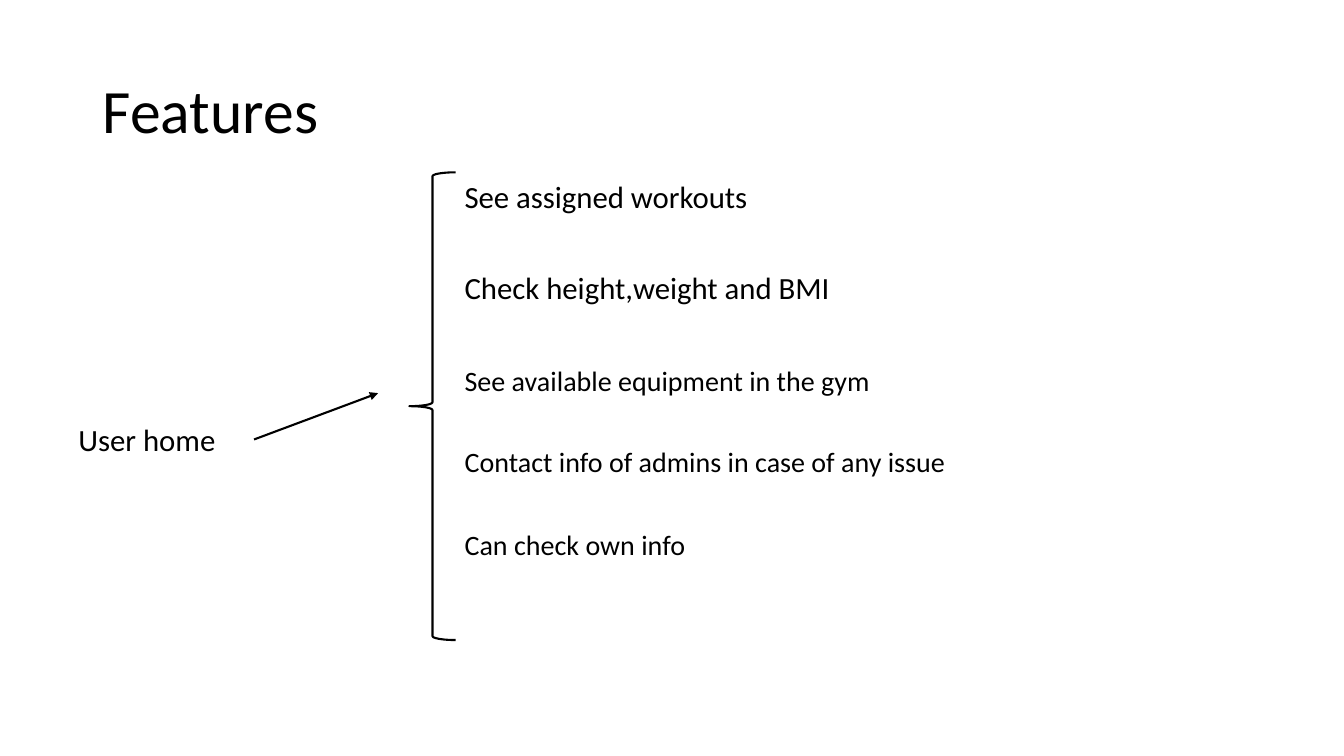
"""Build the Features slide: what a user can do from the home screen."""
from lxml import etree
from pptx import Presentation
from pptx.dml.color import RGBColor
from pptx.enum.shapes import MSO_CONNECTOR, MSO_SHAPE
from pptx.enum.text import MSO_ANCHOR, MSO_AUTO_SIZE, PP_ALIGN
from pptx.oxml.ns import qn
from pptx.util import Inches, Pt

STRAIGHT = MSO_CONNECTOR.STRAIGHT
LEFT_BRACE = MSO_SHAPE.LEFT_BRACE
MIDDLE = MSO_ANCHOR.MIDDLE
FIT_TEXT = MSO_AUTO_SIZE.SHAPE_TO_FIT_TEXT
LEFT = PP_ALIGN.LEFT

COLORS = {"ink": "000000", "background": "FFFFFF"}
INK = RGBColor.from_string(COLORS["ink"])
FONT = "Calibri"
LINE_WIDTH = Pt(1.5)
FEATURE_LEFT = 4.51


def add_text(paragraph, text, size):
    paragraph.alignment = LEFT
    run = paragraph.add_run()
    run.text = text
    run.font.name = FONT
    run.font.size = Pt(size)
    run.font.color.rgb = INK


prs = Presentation()
prs.slide_width = Inches(13.33)
prs.slide_height = Inches(7.5)
slide = prs.slides.add_slide(prs.slide_layouts[5])
slide.background.fill.solid()
slide.background.fill.fore_color.rgb = RGBColor.from_string(COLORS["background"])

title = slide.shapes.title
title.left, title.top = Inches(0.92), Inches(0.4)
title.width, title.height = Inches(11.5), Inches(1.45)
title.text_frame.vertical_anchor = MIDDLE
heading = title.text_frame.paragraphs[0]
heading.line_spacing = 0.9
add_text(heading, "Features", 44)

labels = [
    ("User home", 0.68, 4.12, 1.84, 0.47, 22),
    ("See assigned workouts", FEATURE_LEFT, 1.71, 3.1, 0.47, 22),
    ("Check height,weight and BMI", FEATURE_LEFT, 2.62, 4, 0.47, 22),
    ("See available equipment in the gym", FEATURE_LEFT, 3.56, 4.89, 0.44, 20),
    ("Contact info of admins in case of any issue", FEATURE_LEFT, 4.36, 5.45, 0.44, 20),
    ("Can check own info", FEATURE_LEFT, 5.18, 5.45, 0.44, 20),
]
for text, left, top, width, height, size in labels:
    label = slide.shapes.add_textbox(Inches(left), Inches(top), Inches(width), Inches(height))
    label.text_frame.word_wrap = True
    label.text_frame.auto_size = FIT_TEXT
    add_text(label.text_frame.paragraphs[0], text, size)

brace = slide.shapes.add_shape(LEFT_BRACE, Inches(4.06), Inches(1.71), Inches(0.46), Inches(4.64))
brace.shadow.inherit = False
brace.fill.background()

arrow = slide.shapes.add_connector(STRAIGHT, Inches(2.52), Inches(4.36), Inches(3.75), Inches(3.9))

for outline in (brace.line, arrow.line):
    outline.color.rgb = INK
    outline.width = LINE_WIDTH

arrow_properties = arrow._element.spPr
etree.SubElement(arrow_properties.find(qn("a:ln")), qn("a:tailEnd"), type="triangle")
etree.SubElement(arrow_properties, qn("a:effectLst"))

prs.save("out.pptx")
